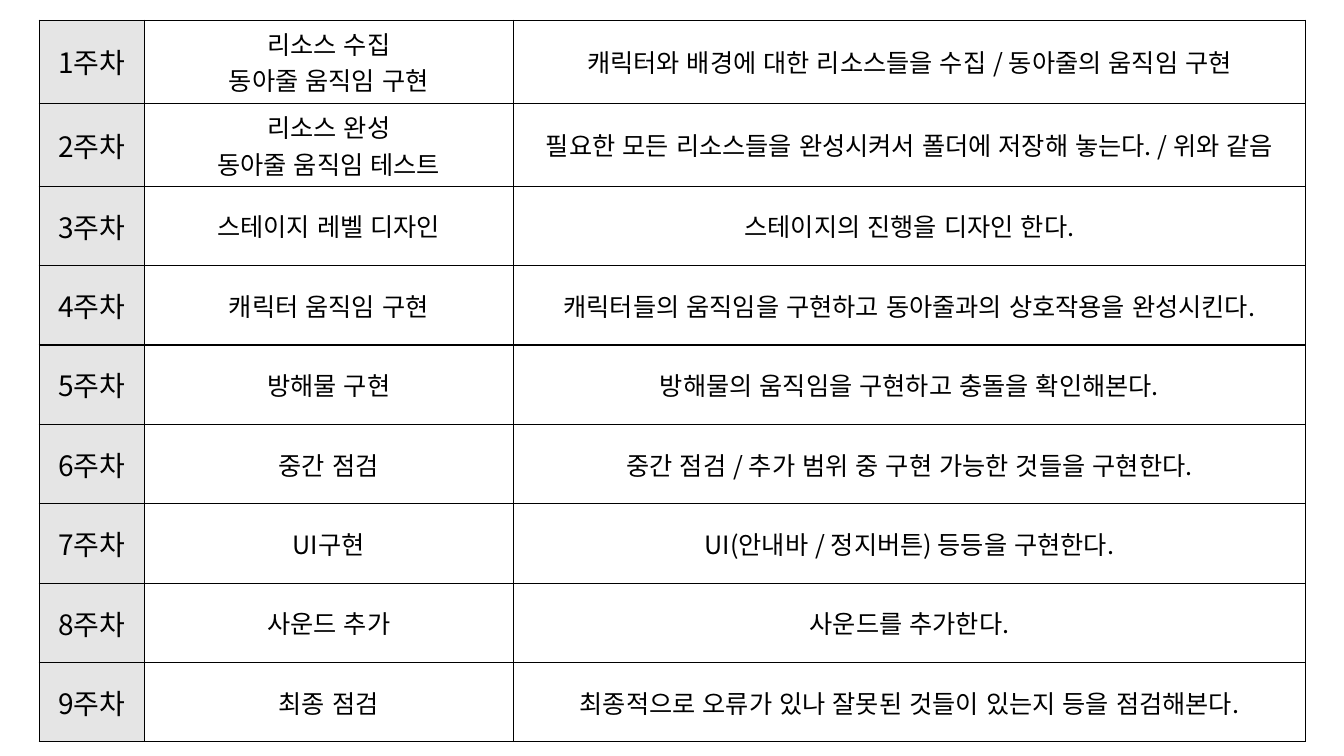
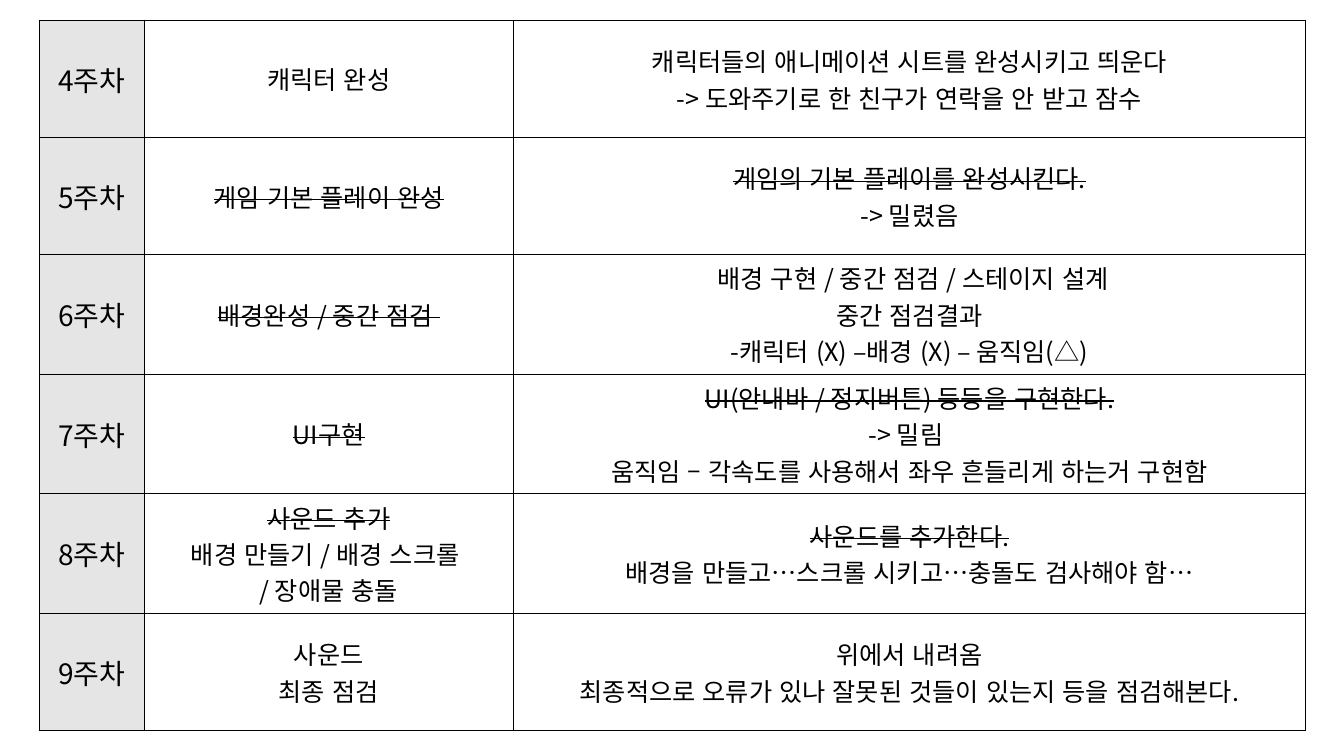
from dataclasses import dataclass

from lxml.etree import SubElement
from pptx import Presentation
from pptx.dml.color import RGBColor
from pptx.enum.lang import MSO_LANGUAGE_ID as Lang
from pptx.enum.text import MSO_ANCHOR, PP_ALIGN
from pptx.oxml.ns import qn
from pptx.util import Inches, Pt


# Shared look
@dataclass(frozen=True)
class Theme:
    font: str = "Noto Sans CJK KR"
    ink: str = "000000"
    paper: str = "FFFFFF"
    week_size: int = 20
    text_size: int = 18
    week_alpha: int = 10
    text_alpha: int = 40
    border: int = 1


@dataclass(frozen=True)
class Line:
    text: str
    struck: bool = False


@dataclass(frozen=True)
class Week:
    number: int
    task: tuple[Line, ...]
    detail: tuple[Line, ...]


@dataclass(frozen=True)
class Schedule:
    height: float
    weeks: tuple[Week, ...]


THEME = Theme()
LEFT, TOP = 0.39, 0.2
COLUMNS = (1.04, 3.66, 7.86)


def lines(*texts: str) -> tuple[Line, ...]:
    return tuple(Line(t) for t in texts)


def struck(text: str) -> tuple[Line, ...]:
    return (Line(text, True),)


# Content
PLAN = Schedule(7.09, (
    Week(1, lines("리소스 수집", "동아줄 움직임 구현"),
         lines("캐릭터와 배경에 대한 리소스들을 수집 / 동아줄의 움직임 구현")),
    Week(2, lines("리소스 완성", "동아줄 움직임 테스트"),
         lines("필요한 모든 리소스들을 완성시켜서 폴더에 저장해 놓는다. / 위와 같음")),
    Week(3, lines("스테이지 레벨 디자인"), lines("스테이지의 진행을 디자인 한다.")),
    Week(4, lines("캐릭터 움직임 구현"),
         lines("캐릭터들의 움직임을 구현하고 동아줄과의 상호작용을 완성시킨다.")),
    Week(5, lines("방해물 구현"), lines("방해물의 움직임을 구현하고 충돌을 확인해본다.")),
    Week(6, lines("중간 점검"),
         lines("중간 점검 / 추가 범위 중 구현 가능한 것들을 구현한다.")),
    Week(7, lines("UI구현"), lines("UI(안내바 / 정지버튼) 등등을 구현한다.")),
    Week(8, lines("사운드 추가"), lines("사운드를 추가한다.")),
    Week(9, lines("최종 점검"),
         lines("최종적으로 오류가 있나 잘못된 것들이 있는지 등을 점검해본다.")),
))

PROGRESS = Schedule(6.98, (
    Week(4, lines("캐릭터 완성"),
         lines("캐릭터들의 애니메이션 시트를 완성시키고 띄운다",
               "-> 도와주기로 한 친구가 연락을 안 받고 잠수")),
    Week(5, struck("게임 기본 플레이 완성"),
         struck("게임의 기본 플레이를 완성시킨다.") + lines("-> 밀렸음")),
    Week(6, struck("배경완성 / 중간 점검 "),
         lines(" 배경 구현 / 중간 점검 / 스테이지 설계", "중간 점검결과",
               "-캐릭터 (X) –배경 (X) – 움직임(△)")),
    Week(7, struck("UI구현"),
         struck("UI(안내바 / 정지버튼) 등등을 구현한다.")
         + lines("-> 밀림 ", "움직임 – 각속도를 사용해서 좌우 흔들리게 하는거 구현함")),
    Week(8, struck("사운드 추가") + lines("배경 만들기 / 배경 스크롤 ", "/ 장애물 충돌"),
         struck("사운드를 추가한다.")
         + lines("배경을 만들고…스크롤 시키고…충돌도 검사해야 함…")),
    Week(9, lines("사운드", "최종 점검"),
         lines("위에서 내려옴",
               "최종적으로 오류가 있나 잘못된 것들이 있는지 등을 점검해본다.")),
))


# Cell drawing
def style_cell(cell, color: str, alpha: int) -> None:
    """Border all four sides, then add a translucent fill."""
    tc_pr = cell._tc.get_or_add_tcPr()
    for side in ("a:lnL", "a:lnR", "a:lnT", "a:lnB"):
        ln = SubElement(tc_pr, qn(side), w=str(Pt(THEME.border)))
        SubElement(SubElement(ln, qn("a:solidFill")), qn("a:srgbClr"), val=THEME.ink)
    cell.fill.solid()
    cell.fill.fore_color.rgb = RGBColor.from_string(color)
    clr = tc_pr.find(qn("a:solidFill")).find(qn("a:srgbClr"))
    SubElement(clr, qn("a:alpha"), val=str(alpha * 1000))


def write_cell(cell, content: tuple[Line, ...], size: int) -> None:
    cell.vertical_anchor = MSO_ANCHOR.MIDDLE
    tf = cell.text_frame
    for i, line in enumerate(content):
        p = tf.add_paragraph() if i else tf.paragraphs[0]
        p.alignment = PP_ALIGN.CENTER
        r = p.add_run()
        r.text = line.text
        r.font.name = THEME.font
        r.font.size = Pt(size)
        r.font.bold = False
        r.font.color.rgb = RGBColor.from_string(THEME.ink)
        r.font.language_id = Lang.KOREAN
        r_pr = r._r.get_or_add_rPr()
        SubElement(r_pr, qn("a:ea"), typeface=THEME.font)
        if line.struck:
            r_pr.set("strike", "sngStrike")


# Schedule table
def add_schedule(s, schedule: Schedule) -> None:
    weeks = schedule.weeks
    table = s.shapes.add_table(
        len(weeks), len(COLUMNS), Inches(LEFT), Inches(TOP),
        Inches(sum(COLUMNS)), Inches(schedule.height)).table
    table.first_row = table.horz_banding = False
    for column, width in zip(table.columns, COLUMNS):
        column.width = Inches(width)
    for row, week in zip(table.rows, weeks):
        row.height = Inches(schedule.height / len(weeks))
        label, *texts = row.cells
        style_cell(label, THEME.ink, THEME.week_alpha)
        write_cell(label, lines(f"{week.number}주차"), THEME.week_size)
        for cell, content in zip(texts, (week.task, week.detail)):
            style_cell(cell, THEME.paper, THEME.text_alpha)
            write_cell(cell, content, THEME.text_size)


def main() -> None:
    prs = Presentation()
    prs.slide_width, prs.slide_height = Inches(13.33), Inches(7.5)
    for schedule in (PLAN, PROGRESS):
        s = prs.slides.add_slide(prs.slide_layouts[6])
        add_schedule(s, schedule)
    prs.save("out.pptx")


if __name__ == "__main__":
    main()
